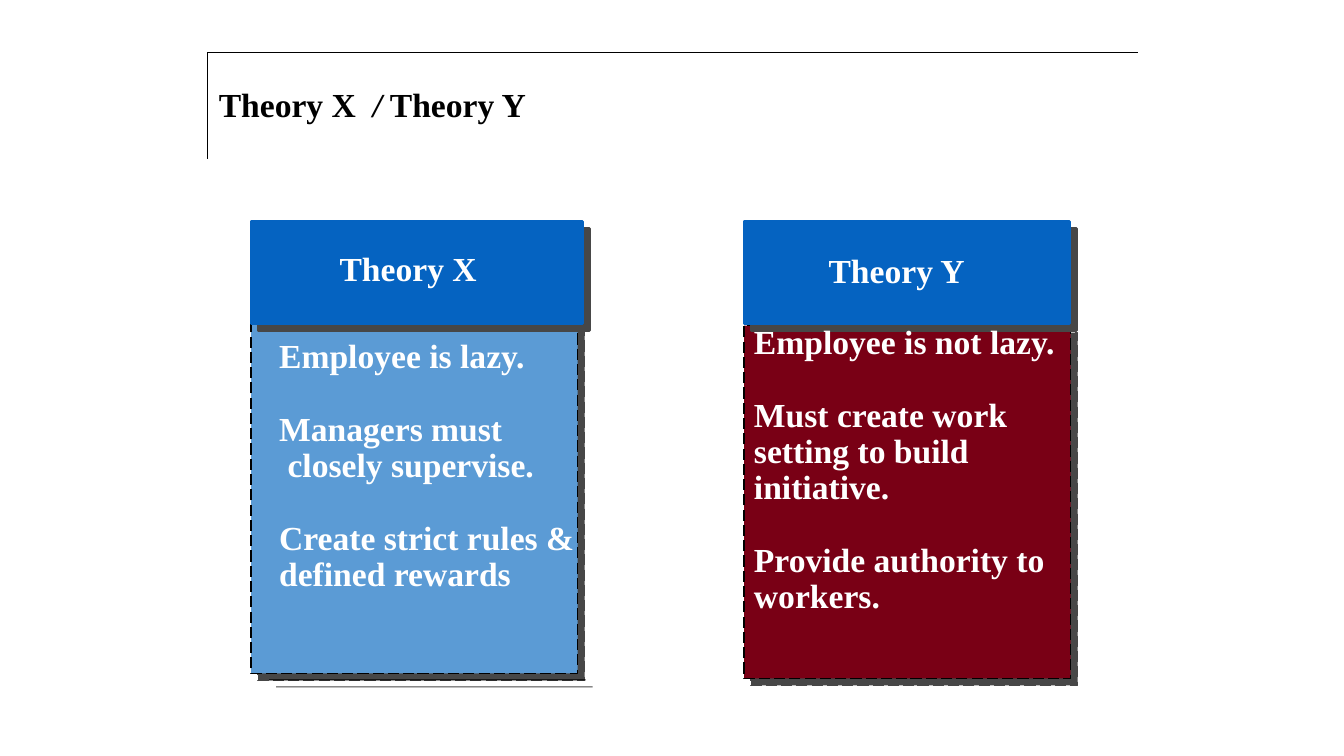
import pptx
import pptx.util
import pptx.dml.color
import pptx.enum.dml
import pptx.enum.shapes
import pptx.enum.text
import lxml.etree

RGB = pptx.dml.color.RGBColor
WHITE = RGB(0xFF, 0xFF, 0xFF)
BLACK = RGB(0x00, 0x00, 0x00)
GREY = RGB(0x47, 0x47, 0x47)
BLUE = RGB(0x05, 0x63, 0xC1)
SKY = RGB(0x5B, 0x9B, 0xD5)
WINE = RGB(0x79, 0x00, 0x15)

FONT = "Times New Roman"
SIZE = 24
GAP = 26
COLS, ROWS = 133.3, 75
TITLE = [("Theory X  ", False), ("/", True), (" Theory Y", False)]

# Each line: wording, space before, left indent in points
PANELS = [
    dict(head="Theory Y", left=73.8, wide=32.3, top=32.3, fill=WINE,
         label=(81.2, 24.3), body=(73.8, 31.8, 35.4, 33.7),
         lines=[("Employee is not lazy.", 0, 0),
                ("Must create work setting to build initiative.", GAP, 0),
                ("Provide authority to workers.", GAP, 0)]),
    dict(head="Theory X", left=24.9, wide=32.9, top=31.8, fill=SKY,
         label=(32.7, 24.1), body=(26.7, 33.2, 32.9, 26.4),
         lines=[("Employee is lazy.", 0, 0),
                ("Managers must", GAP, 0),
                ("closely supervise.", 0, 6),
                ("Create strict rules & defined rewards", GAP, 0)]),
]

deck = pptx.Presentation()
deck.slide_width = pptx.util.Inches(13.33)
deck.slide_height = pptx.util.Inches(7.5)
slide = deck.slides.add_slide(deck.slide_layouts[5])


def place(left, top, wide, high):
    across = deck.slide_width / COLS
    down = deck.slide_height / ROWS
    return [int(left * across), int(top * down),
            int(wide * across), int(high * down)]


def shade(shape, color, dist, angle):
    shape.shadow.inherit = False
    tag = "{http://schemas.openxmlformats.org/drawingml/2006/main}"
    effect = shape.element.spPr.find(tag + "effectLst")
    outer = lxml.etree.SubElement(
        effect, tag + "outerShdw", dist=str(int(pptx.util.Pt(dist))),
        dir=str(angle * 60000), algn="ctr", rotWithShape="0")
    lxml.etree.SubElement(outer, tag + "srgbClr", val=str(color))


def paint(shape, fill, edge, width):
    shape.fill.solid()
    shape.fill.fore_color.rgb = fill
    if edge is None:
        shape.line.fill.background()
    else:
        shape.line.color.rgb = edge
        shape.line.width = pptx.util.Pt(width)


def block(spot, fill, edge=None, width=0):
    shape = slide.shapes.add_shape(
        pptx.enum.shapes.MSO_SHAPE.RECTANGLE, *place(*spot))
    paint(shape, fill, edge, width)
    shade(shape, GREY, 7.1, 45)
    return shape


def write(para, text, color, slant=None):
    run = para.add_run()
    run.text = text
    run.font.name = FONT
    run.font.size = pptx.util.Pt(SIZE)
    run.font.bold = True
    run.font.italic = slant
    run.font.color.rgb = color


def label(spot, lines, wrap, pitch):
    frame = slide.shapes.add_textbox(*place(*spot)).text_frame
    frame.word_wrap = wrap
    for num, (text, before, indent) in enumerate(lines):
        para = frame.add_paragraph() if num else frame.paragraphs[0]
        para.line_spacing = pitch
        if before:
            para.space_before = pptx.util.Pt(before)
        if indent:
            para._p.get_or_add_pPr().set("marL", str(int(pptx.util.Pt(indent))))
        write(para, text, WHITE)


title = slide.shapes.title
title.left, title.top, title.width, title.height = place(20.7, 5.3, 92.3, 10.6)
paint(title, WHITE, WHITE, 0.75)
shade(title, BLACK, 1.4, 225)
title.text_frame.vertical_anchor = pptx.enum.text.MSO_ANCHOR.MIDDLE
title.text_frame.word_wrap = True
para = title.text_frame.paragraphs[0]
para.alignment = pptx.enum.text.PP_ALIGN.LEFT
para.line_spacing = 0.9
for text, slant in TITLE:
    write(para, text, BLACK, slant)

for panel in PANELS:
    card = block((panel["left"], panel["top"], 32.4, 35), panel["fill"], BLACK, 1)
    card.line.dash_style = pptx.enum.dml.MSO_LINE.LONG_DASH
    block((panel["left"], 22, panel["wide"], 10.1), BLUE, BLUE, 2)
    label((*panel["label"], 15.7, 5), [(panel["head"], 0, 0)], False, 1)
    label(panel["body"], panel["lines"], True, 0.9)

block((26.7, 67.4, 31.4, 0.1), BLACK)

deck.save("out.pptx")
